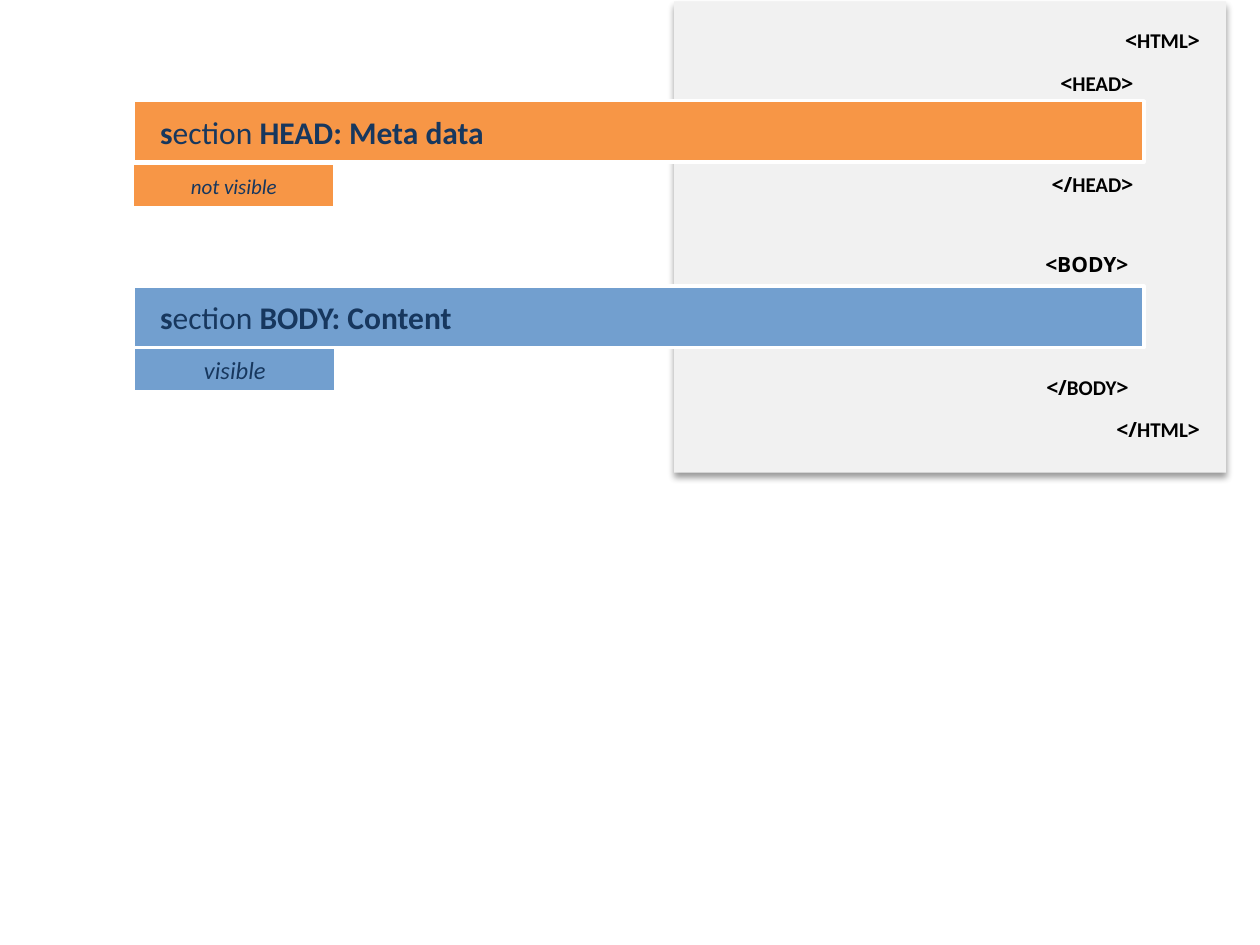
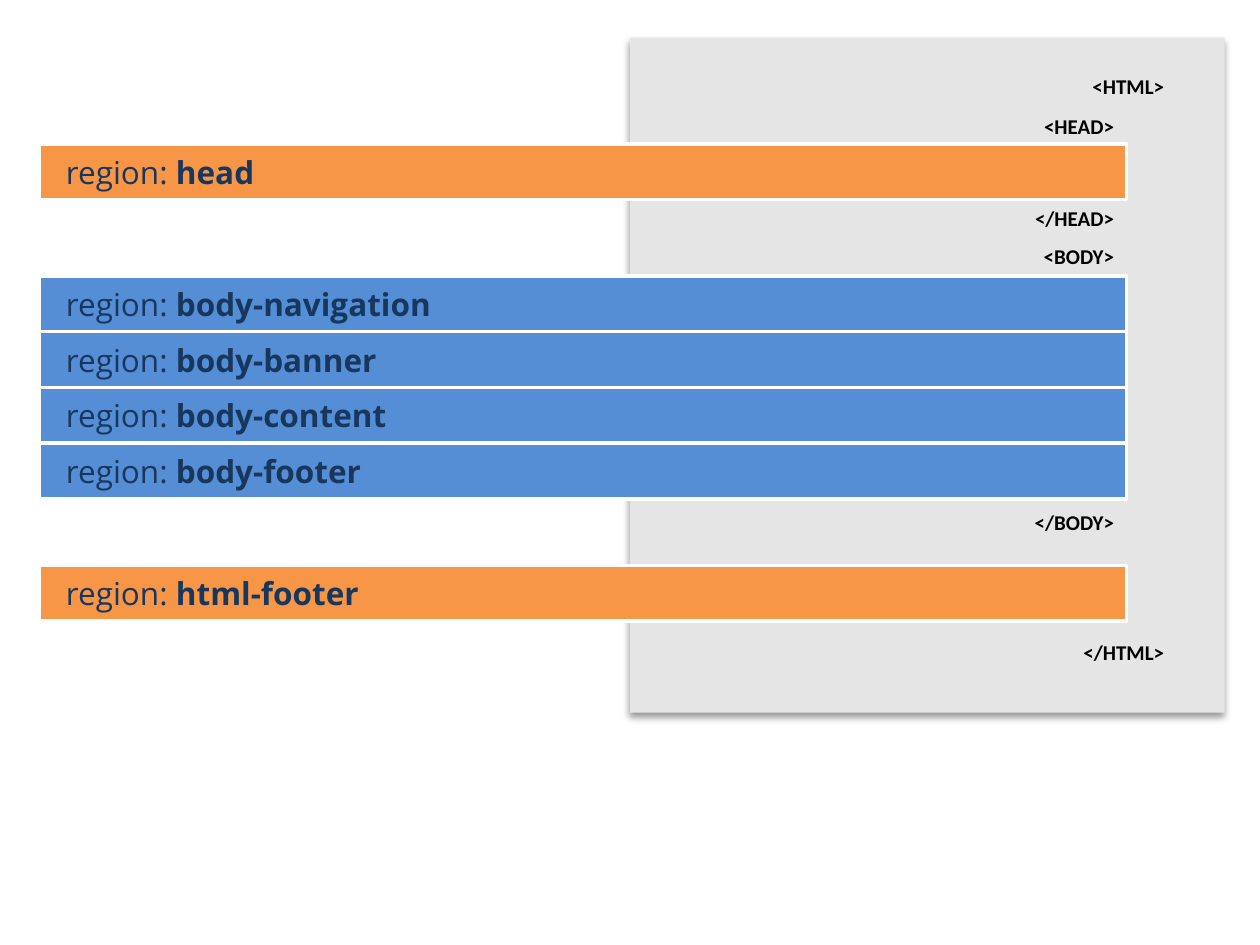
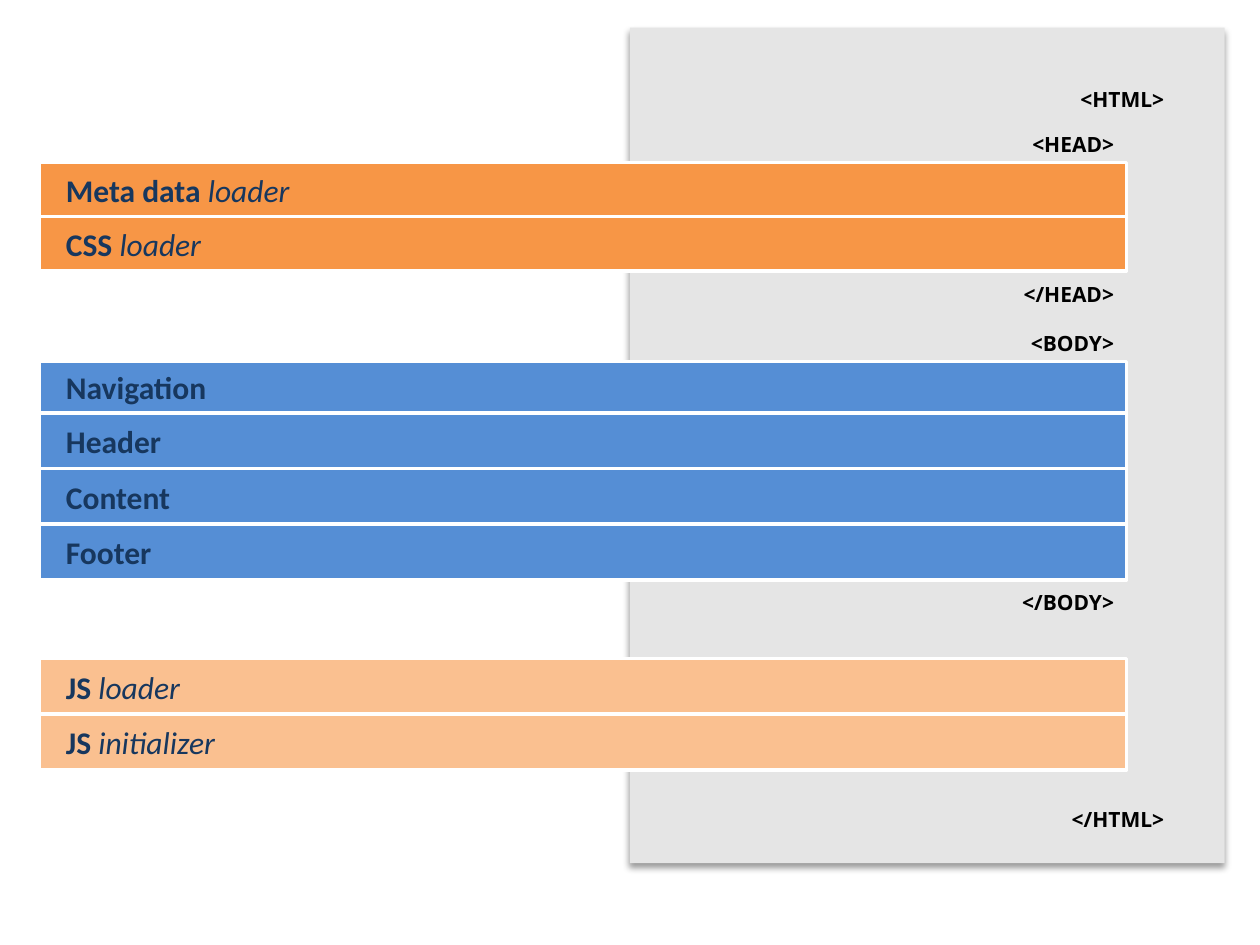
import dataclasses

import pptx
import pptx.dml.color
import pptx.enum.shapes
import pptx.enum.text
import pptx.oxml
import pptx.oxml.ns
import pptx.util

Cm = pptx.util.Cm
Align = pptx.enum.text.PP_ALIGN

ORANGE = "F79646"
PALE_ORANGE = "FAC090"
BLUE = "558ED5"
SOFT_BLUE = "729FCF"
GREY = "E5E5E5"
LIGHT_GREY = "F1F1F1"
NAVY = "17375E"
BLACK = "000000"
WHITE = "FFFFFF"

CALIBRI = "Calibri"
OPEN_SANS = "Open Sans"

TAG_HEIGHT = 0.8
BAR_LEFT = 0.79
BAR_WIDTH = 21.92
BAR_INDENT = 0.54

SHADOW = (
    '<a:outerShdw xmlns:a="http://schemas.openxmlformats.org/drawingml/2006/main"'
    ' blurRad="50800" dist="38100" dir="5400000" rotWithShape="0">'
    '<a:srgbClr val="000000"><a:alpha val="40000"/></a:srgbClr></a:outerShdw>'
)


@dataclasses.dataclass
class Box:
    """A rectangle in centimetres."""

    left: float
    top: float
    width: float
    height: float

    def lengths(self):
        """Return the four lengths for a new shape."""
        return [Cm(value) for value in (self.left, self.top, self.width, self.height)]


def colour(value):
    """Turn a hex string into a colour."""
    return pptx.dml.color.RGBColor.from_string(value)


def add_rectangle(slide, box, fill, outline=None):
    """Add a flat rectangle, with a thin outline if one is named."""
    shape = slide.shapes.add_shape(
        pptx.enum.shapes.MSO_SHAPE.RECTANGLE, *box.lengths())
    shape.fill.solid()
    shape.fill.fore_color.rgb = colour(fill)
    if outline:
        shape.line.color.rgb = colour(outline)
        shape.line.width = pptx.util.Pt(2)
    else:
        shape.line.fill.background()
    shape.shadow.inherit = False
    return shape


def write(shape, spans, size, ink, align):
    """Write one line of (text, font, style) spans, centred in height."""
    frame = shape.text_frame
    frame.word_wrap = True
    frame.vertical_anchor = pptx.enum.text.MSO_ANCHOR.MIDDLE
    para = frame.paragraphs[0]
    para.alignment = align
    for text, font, style in spans:
        span = para.add_run()
        span.text = text
        span.font.name = font
        span.font.size = pptx.util.Pt(size)
        span.font.bold = "b" in style
        span.font.italic = "i" in style
        span.font.color.rgb = colour(ink)


def add_document(slide, box, fill, tags):
    """Draw the shadowed page and its tags, measured from its top right corner."""
    page = add_rectangle(slide, box, fill)
    effects = page._element.spPr.find(pptx.oxml.ns.qn("a:effectLst"))
    effects.append(pptx.oxml.parse_xml(SHADOW))
    for spans, inset, top, width in tags:
        place = Box(box.left + box.width - inset - width, box.top + top,
                    width, TAG_HEIGHT)
        label = slide.shapes.add_textbox(*place.lengths())
        write(label, [(text, font, "b") for text, font in spans],
              12, BLACK, Align.RIGHT)


def add_bars(slide, box, fill, rows):
    """Split the box evenly into outlined bars, one for each row of spans."""
    height = box.height / len(rows)
    for index, spans in enumerate(rows):
        place = Box(box.left, box.top + index * height, box.width, height)
        bar = add_rectangle(slide, place, fill, WHITE)
        bar.text_frame.margin_left = Cm(BAR_INDENT)
        write(bar, spans, 18, NAVY, Align.LEFT)


def add_note(slide, box, fill, text, size):
    """Add a small box with a centred remark in italics."""
    note = add_rectangle(slide, box, fill, WHITE)
    write(note, [(text, CALIBRI, "i")], size, NAVY, Align.CENTER)


def mixed_tag(opening, name):
    """Set the brackets of a tag in one font and its name in another."""
    return [(opening, OPEN_SANS), (name, CALIBRI), (">", OPEN_SANS)]


def page_tags(font, tops, body_widths):
    """List the six tags of a page in one font, outer pair first."""
    names = ["<HTML>", "</HTML>", "<HEAD>", "</HEAD>", "<BODY>", "</BODY>"]
    insets = [0.97] * 2 + [1.98] * 4
    widths = [3.07] * 2 + [5] * 2 + body_widths
    return [([(name, font)], inset, top, width)
            for name, inset, top, width in zip(names, insets, tops, widths)]


def section(title):
    """Return the spans of a section heading."""
    return [("s", CALIBRI, "b"), ("ection", CALIBRI, ""), (f" {title}", CALIBRI, "b")]


def region(name):
    """Return the spans of a region heading."""
    return [("region: ", OPEN_SANS, ""), (name, OPEN_SANS, "b")]


def part(name, role=None):
    """Return the spans of a page part and its optional role."""
    if role is None:
        return [(name, CALIBRI, "b")]
    return [(f"{name} ", CALIBRI, "b"), (role, CALIBRI, "i")]


def sections_slide(slide):
    """Show the two sections of a page."""
    add_document(slide, Box(13.59, 0.03, 11.13, 9.5), LIGHT_GREY, [
        (mixed_tag("<", "HTML"), 0.28, 0.38, 5.31),
        (mixed_tag("</", "HTML"), 0.28, 8.22, 3.15),
        (mixed_tag("<", "HEAD"), 1.62, 1.25, 3.71),
        (mixed_tag("</", "HEAD"), 1.62, 3.28, 3.71),
        ([("<BODY>", OPEN_SANS)], 1.72, 4.9, 3.63),
        (mixed_tag("</", "BODY"), 1.72, 7.38, 3.63),
    ])
    add_bars(slide, Box(2.69, 5.77, 20.37, 1.24), SOFT_BLUE, [section("BODY: Content")])
    add_bars(slide, Box(2.69, 2.03, 20.37, 1.24), ORANGE, [section("HEAD: Meta data")])
    add_note(slide, Box(2.67, 3.3, 4.09, 0.89), ORANGE, "not visible", 12)
    add_note(slide, Box(2.69, 7.01, 4.09, 0.89), SOFT_BLUE, "visible", 14)


def regions_slide(slide):
    """Show the named regions of a page."""
    add_document(slide, Box(12.7, 0.76, 11.99, 13.61), GREY, page_tags(
        CALIBRI, [0.58, 11.98, 1.38, 3.23, 4.01, 9.36], [4.11, 3.99]))
    body = ["body-navigation", "body-banner", "body-content", "body-footer"]
    for top, height, fill, names in [
        (5.56, 4.5, BLUE, body),
        (11.4, 1.12, ORANGE, ["html-footer"]),
        (2.9, 1.12, ORANGE, ["head"]),
    ]:
        add_bars(slide, Box(BAR_LEFT, top, BAR_WIDTH, height), fill,
                 [region(name) for name in names])


def parts_slide(slide):
    """Show the parts that fill the regions of a page."""
    add_document(slide, Box(12.7, 0.56, 11.99, 16.84), GREY, page_tags(
        OPEN_SANS, [1.03, 15.56, 1.94, 4.96, 5.96, 11.18], [5, 5]))
    for top, height, fill, rows in [
        (7.29, 1.03, BLUE, [part("Navigation")]),
        (8.33, 3.36, BLUE, [part("Header"), part("Content"), part("Footer")]),
        (13.28, 2.24, PALE_ORANGE, [part("JS", "loader"), part("JS", "initializer")]),
        (3.28, 2.18, ORANGE, [part("Meta data", "loader"), part("CSS", "loader")]),
    ]:
        add_bars(slide, Box(BAR_LEFT, top, BAR_WIDTH, height), fill, rows)


def main():
    """Build the deck and save it."""
    deck = pptx.Presentation()
    deck.slide_width = Cm(25.4)
    deck.slide_height = Cm(19.05)
    for build in (sections_slide, regions_slide, parts_slide):
        build(deck.slides.add_slide(deck.slide_layouts[6]))
    deck.save("out.pptx")


if __name__ == "__main__":
    main()
